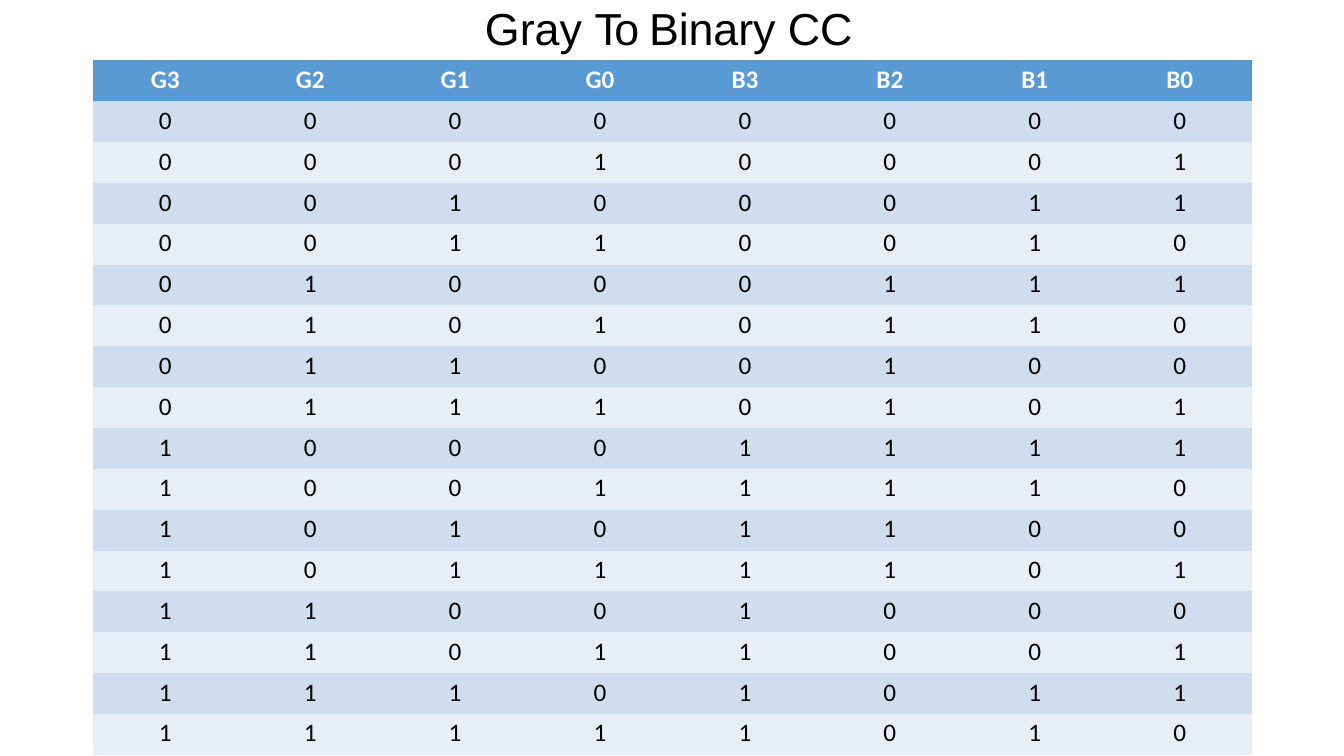
import pptx
import pptx.dml.color
import pptx.enum.text
import pptx.util

Inches = pptx.util.Inches
Pt = pptx.util.Pt

BITS = 4
HEADER_FILL = "5A9AD4"
BAND_FILLS = ("D0DDEE", "E8EEF6")


def color(value):
    return pptx.dml.color.RGBColor.from_string(value)


def format_span(span, font, size, ink, bold=False, spacing=0):
    span.font.name = font
    span.font.size = Pt(size)
    span.font.bold = bold
    span.font.color.rgb = color(ink)
    if spacing:
        # Letter spacing is stored in hundredths of a point
        span.font._element.set("spc", str(round(spacing * 100)))


def set_margins(holder, top):
    holder.margin_left = holder.margin_right = holder.margin_bottom = 0
    holder.margin_top = Inches(top)


def gray_to_binary(gray):
    """Each binary bit is the XOR of its Gray bit and the higher binary bit."""
    binary = gray
    for shift in range(1, BITS):
        binary ^= gray >> shift
    return binary


def truth_rows():
    yield [f"{name}{bit}" for name in "GB" for bit in reversed(range(BITS))]
    for gray in range(2 ** BITS):
        yield list(f"{gray:0{BITS}b}{gray_to_binary(gray):0{BITS}b}")


def add_title(page, left, top, width, height):
    box = page.shapes.add_textbox(
        Inches(left), Inches(top), Inches(width), Inches(height))
    frame = box.text_frame
    frame.word_wrap = True
    frame.auto_size = pptx.enum.text.MSO_AUTO_SIZE.SHAPE_TO_FIT_TEXT
    set_margins(frame, 0.01)
    para = frame.paragraphs[0]
    para.space_before = Pt(1)
    para._p.get_or_add_pPr().set("marL", str(Inches(0.01)))
    for text, spacing in (("Gray ", 0), ("To ", -1.9),
                          ("Binary ", -0.1), ("CC", 0)):
        span = para.add_run()
        span.text = text
        format_span(span, "Arial", 32, "000000", spacing=spacing)


def fill_cell(cell, text, fill, ink, bold):
    cell.fill.solid()
    cell.fill.fore_color.rgb = color(fill)
    set_margins(cell, 0.04)
    cell.text_frame.text = text
    para = cell.text_frame.paragraphs[0]
    para.alignment = pptx.enum.text.PP_ALIGN.CENTER
    para.space_before = Pt(2.8)
    format_span(para.runs[0], "Calibri", 18, ink, bold)


def add_truth_table(page, left, top, width, height):
    rows = list(truth_rows())
    table = page.shapes.add_table(
        len(rows), len(rows[0]), Inches(left), Inches(top),
        Inches(width), Inches(height)).table
    for row, values in enumerate(rows):
        header = row == 0
        fill = HEADER_FILL if header else BAND_FILLS[(row - 1) % 2]
        ink = "FFFFFF" if header else "000000"
        for column, text in enumerate(values):
            fill_cell(table.cell(row, column), text, fill, ink, header)
    # The cells carry their own fills, so the table needs no style lines
    style = table._tbl.tblPr.find(pptx.oxml.ns.qn("a:tableStyleId"))
    style.text = "{2D5ABB26-0587-4C30-8999-92F81FD0307C}"


deck = pptx.Presentation()
deck.slide_width = Inches(13.33)
deck.slide_height = Inches(7.5)
page = deck.slides.add_slide(deck.slide_layouts[6])

# Title above the conversion table
add_title(page, 4.8, 0, 3.73, 0.56)
add_truth_table(page, 0.92, 0.6, 11.5, 6.89)

deck.save("out.pptx")
